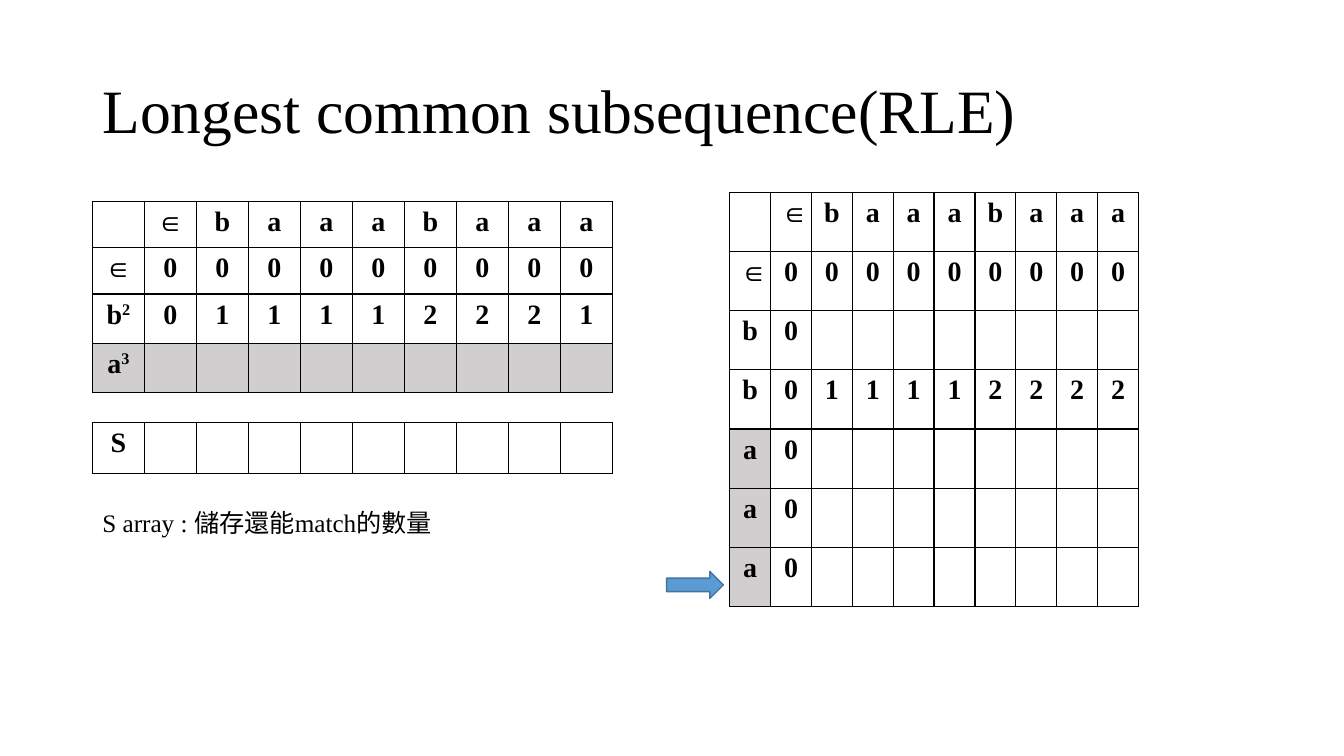
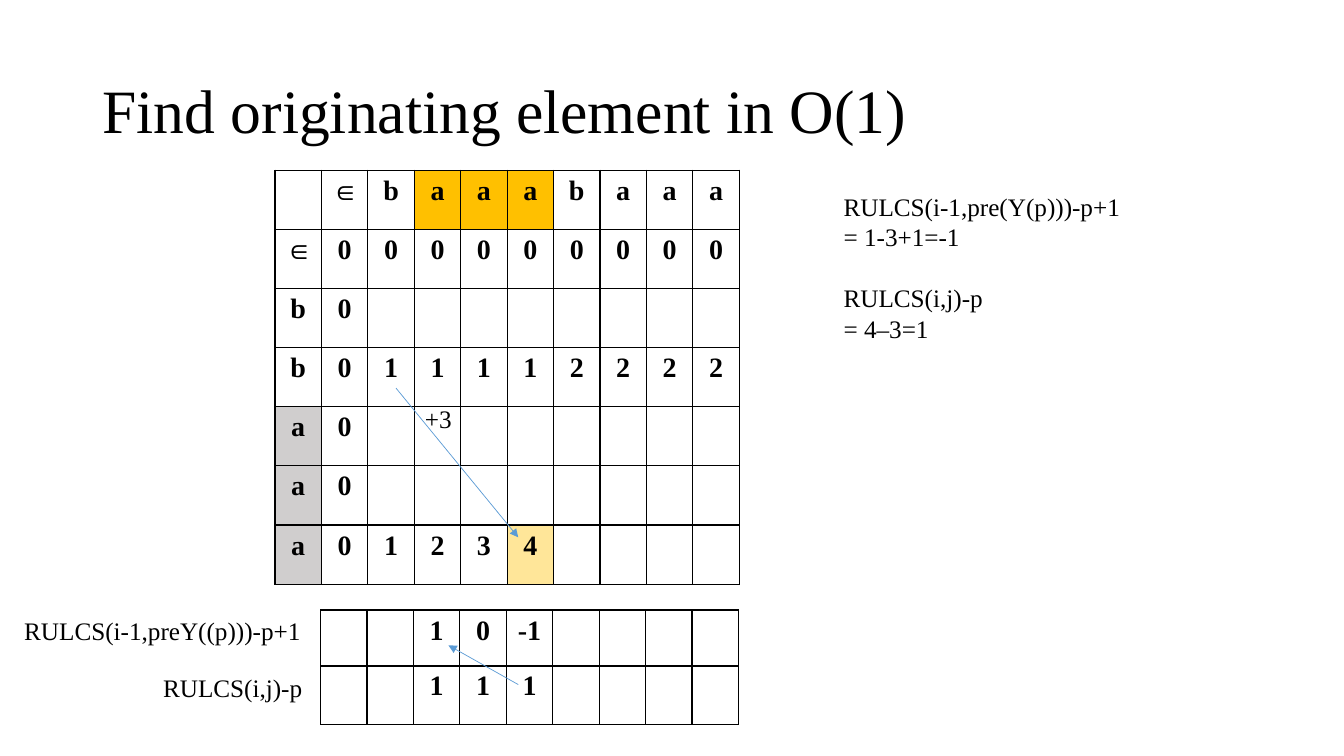
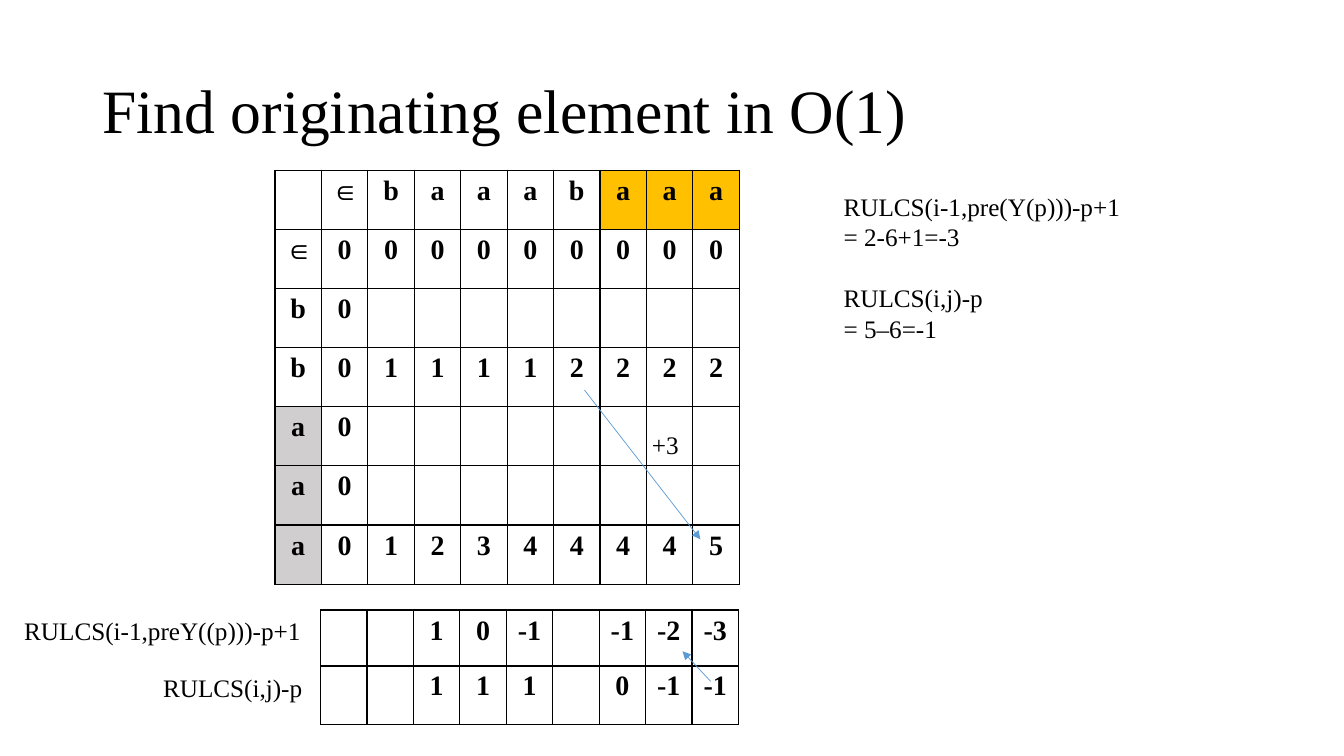
"""Build three slides on run-length-encoded longest common subsequence."""
from dataclasses import dataclass

from lxml import etree
from pptx import Presentation
from pptx.dml.color import RGBColor as Color
from pptx.enum.shapes import MSO_CONNECTOR as Connector, MSO_SHAPE as Preset
from pptx.enum.text import MSO_ANCHOR as Anchor, PP_ALIGN as Align
from pptx.oxml import parse_xml
from pptx.oxml.ns import nsdecls, qn
from pptx.util import Cm, Pt


@dataclass(frozen=True)
class Theme:
    font: str = "Times New Roman"
    ink: str = "000000"
    shade: str = "D0CECE"
    run: str = "FFC000"
    hit: str = "FFE699"
    arrow: str = "5B9BD5"
    outline: str = "43739E"
    title_size: int = 44
    cell_size: int = 20
    note_size: int = 18


theme = Theme()


def add_text(para, text, size, bold=False):
    for position, part in enumerate(text.split("^")):
        span = para.add_run()
        span.text = part
        span.font.name = theme.font
        span.font.size = Pt(size)
        span.font.bold = bold
        span.font.color.rgb = Color.from_string(theme.ink)
        if position:
            span.font._element.set("baseline", "30000")


def add_grid(page, left, top, column_width, row_heights, lines, fills):
    rows = [line.split(",") for line in lines]
    width = column_width * len(rows[0])
    frame = page.shapes.add_table(len(rows), len(rows[0]), Cm(left), Cm(top),
                                  Cm(width), Cm(sum(row_heights)))
    table = frame.table
    table.first_row = table.horz_banding = False
    for column in table.columns:
        column.width = Cm(column_width)
    for r, row in enumerate(rows):
        table.rows[r].height = Cm(row_heights[r])
        for c, text in enumerate(row):
            cell = table.cell(r, c)
            properties = cell._tc.get_or_add_tcPr()
            for side in ("lnL", "lnR", "lnT", "lnB"):
                properties.append(parse_xml(
                    f'<a:{side} {nsdecls("a")} w="12700"><a:solidFill>'
                    f'<a:srgbClr val="{theme.ink}"/></a:solidFill></a:{side}>'))
            if (r, c) in fills:
                cell.fill.solid()
                cell.fill.fore_color.rgb = Color.from_string(fills[r, c])
            else:
                cell.fill.background()
            para = cell.text_frame.paragraphs[0]
            para.alignment = Align.CENTER
            if text:
                add_text(para, text, theme.cell_size, bold=True)


header = ",∈,b,a,a,a,b,a,a,a"
zeros = "∈,0,0,0,0,0,0,0,0,0"
blanks = "," * 8
matrix = [header, zeros, "b,0" + blanks, "b,0,1,1,1,1,2,2,2,2",
          "a,0" + blanks, "a,0" + blanks]
matrix_heights = [1.49] * 7
shaded_letters = {(r, 0): theme.shade for r in (4, 5, 6)}

pages = [{
    "title": "Longest common subsequence(RLE)",
    "grids": [
        (2.33, 5.07, 1.31, [1.17, 1.17, 1.24, 1.24],
         [header, zeros, "b^2,0,1,1,1,1,2,2,2,1", "a^3," + blanks],
         {(3, c): theme.shade for c in range(10)}),
        (2.33, 10.64, 1.31, [1.3], ["S," + blanks], {}),
        (18.39, 4.85, 1.03, matrix_heights, matrix + ["a,0" + blanks],
         shaded_letters),
    ],
    "notes": [(2.33, 12.65, 9.73, ["S array : 儲存還能match的數量"])],
    "arrows": [],
}]

steps = [
    ("a,0,1,2,3,4,,,,", {(0, c): theme.run for c in (3, 4, 5)} | {(6, 5): theme.hit},
     [",,1,0,-1,,,,", ",,1,1,1,,,,"], "= 1-3+1=-1", "= 4–3=1", (10.46, 10.03),
     [(13.06, 17.25, 11.3, 16.26), (9.98, 9.78, 13.06, 13.54)]),
    ("a,0,1,2,3,4,4,4,4,5", {(0, c): theme.run for c in (7, 8, 9)},
     [",,1,0,-1,,-1,-2,-3", ",,1,1,1,,0,-1,-1"], "= 2-6+1=-3", "= 5–6=-1", (16.18, 10.69),
     [(14.73, 9.83, 17.65, 13.59), (17.91, 17.17, 17.2, 16.41)]),
]
for last_row, marks, differences, previous, current, plus_at, arrows in steps:
    pages.append({
        "title": "Find originating element in O(1)",
        "grids": [
            (6.93, 4.29, 1.17, matrix_heights, matrix + [last_row],
             shaded_letters | marks),
            (8.08, 15.37, 1.17, [1.41, 1.48], differences, {}),
        ],
        "notes": [
            (3.86, 16.81, 4.22, ["RULCS(i,j)-p"]),
            (0.36, 15.39, 7.72, ["RULCS(i-1,preY((p)))-p+1"]),
            (21.01, 4.7, 7.6, ["RULCS(i-1,pre(Y(p)))-p+1", previous,
                               "RULCS(i,j)-p", current]),
            (*plus_at, 2.31, ["+3"]),
        ],
        "arrows": arrows,
    })

deck = Presentation()
deck.slide_width, deck.slide_height = Cm(33.87), Cm(19.05)
title_only = deck.slide_layouts[5]

for content in pages:
    page = deck.slides.add_slide(title_only)
    title = page.shapes.title
    title.left, title.top, title.width, title.height = Cm(2.33), Cm(1.01), Cm(29.21), Cm(3.68)
    title.text_frame.vertical_anchor = Anchor.MIDDLE
    para = title.text_frame.paragraphs[0]
    para.alignment = Align.LEFT
    para.line_spacing = 0.9
    add_text(para, content["title"], theme.title_size)

    for grid in content["grids"]:
        add_grid(page, *grid)

    for begin_x, begin_y, end_x, end_y in content["arrows"]:
        arrow = page.shapes.add_connector(Connector.STRAIGHT, Cm(begin_x), Cm(begin_y),
                                          Cm(end_x), Cm(end_y))
        arrow.line.color.rgb = Color.from_string(theme.arrow)
        arrow.line.width = Pt(0.5)
        etree.SubElement(arrow.line._get_or_add_ln(), qn("a:tailEnd"), type="triangle")
        etree.SubElement(arrow._element.spPr, qn("a:effectLst"))

    for left, top, width, lines in content["notes"]:
        box = page.shapes.add_textbox(Cm(left), Cm(top), Cm(width), Cm(0.25 + 0.77 * len(lines)))
        frame = box.text_frame
        frame.word_wrap = True
        for position, line in enumerate(lines):
            para = frame.add_paragraph() if position else frame.paragraphs[0]
            if position == 2:
                para.space_before = Pt(22)
            add_text(para, line, theme.note_size)

pointer = deck.slides[0].shapes.add_shape(Preset.RIGHT_ARROW, Cm(16.8), Cm(14.4),
                                          Cm(1.43), Cm(0.68))
pointer.shadow.inherit = False
pointer.fill.solid()
pointer.fill.fore_color.rgb = Color.from_string(theme.arrow)
pointer.line.color.rgb = Color.from_string(theme.outline)
pointer.line.width = Pt(1)

deck.save("out.pptx")
